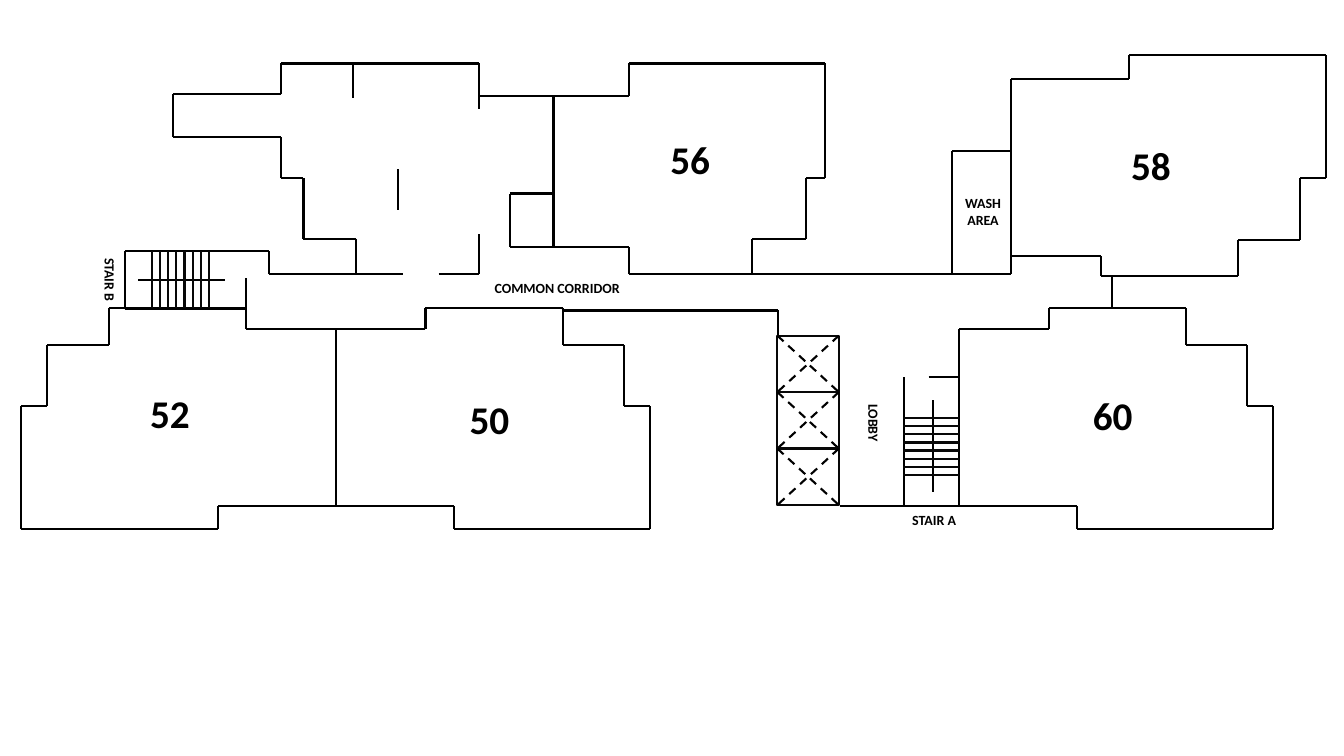
from lxml import etree
from pptx import Presentation
from pptx import util as u
from pptx.dml.color import RGBColor
from pptx.enum import dml, shapes, text

COLORS = {"wall": "000000", "tread": "080808", "label": "000000"}
GRID = 2.54  # centimetres per plan unit
A_NS = "http://schemas.openxmlformats.org/drawingml/2006/main"

prs = Presentation()
prs.slide_width, prs.slide_height = u.Cm(13.33 * GRID), u.Cm(7.5 * GRID)
s = prs.slides.add_slide(prs.slide_layouts[6])
plan = s.shapes.add_group_shape().shapes


def draw_wall(points, color="wall", dashed=False):
    """Draw straight wall pieces through the points."""
    for start, end in zip(points, points[1:]):
        if start == end:
            continue
        ln = plan.add_connector(shapes.MSO_CONNECTOR.STRAIGHT,
                                *[u.Cm(v * GRID) for v in (*start, *end)])
        ln.line.color.rgb = RGBColor.from_string(COLORS[color])
        ln.line.width = u.Pt(1.5)
        if dashed:
            ln.line.dash_style = dml.MSO_LINE.DASH
        etree.SubElement(ln._element.spPr, f"{{{A_NS}}}effectLst")


def add_label(target, words, left, top, width, height, size, rotation=0):
    """Add a bold centred label."""
    sp = target.add_textbox(*[u.Cm(v * GRID) for v in (left, top, width, height)])
    sp.rotation = rotation
    tf = sp.text_frame
    tf.text = words
    tf.word_wrap = False
    tf.auto_size = text.MSO_AUTO_SIZE.SHAPE_TO_FIT_TEXT
    fmt = {"name": "Calibri", "size": u.Pt(size), "bold": True}
    for p in tf.paragraphs:
        p.alignment = text.PP_ALIGN.CENTER
        for r in p.runs:
            for key, value in fmt.items():
                setattr(r.font, key, value)
            r.font.color.rgb = RGBColor.from_string(COLORS["label"])


# Every route is x, y, x, y, ...: each next value is a turn across, then up or down
LARGE_FLAT = [0, 1.76, 1.17, 1.99, 3.12, 0.77, 2.86, 0.16, 2.25, -0.2, 0.89, 0, 0, 1.76]
SMALL_FLAT = [0, 1.5, 0.75, 1.82, 2.69, 0.68, 2.5, 0.08, 1.97, -0.27, 0.75, 0, 0, 1.5]

# Flats: number, outline, inner corner, flips, label position
routes = []
for number, outline, x, y, flip_x, flip_y, label_x, label_y in [
        ("56", SMALL_FLAT, 5.49, 2.45, 1, -1, 6.5, 1.29),
        ("58", LARGE_FLAT, 10.03, 2.54, 1, -1, 11.07, 1.35),
        ("60", LARGE_FLAT, 9.51, 3.26, 1, 1, 10.69, 3.83),
        ("50", LARGE_FLAT, 3.33, 3.26, 1, 1, 4.51, 3.87),
        ("52", LARGE_FLAT, 3.33, 3.26, -1, 1, 1.34, 3.81)]:
    routes.append([y + flip_y * v if i % 2 else x + flip_x * v
                   for i, v in enumerate(outline)])
    add_label(plan, number, label_x, label_y, 0.69, 0.57, 28)

# Open area, corridor, wash area, lobby and stairs
routes += [
    [4.75, 1.08, 4.75, 0.63, 2.79, 0.93, 1.72, 1.36, 2.79, 1.77, 3.01, 2.37,
     3.53, 2.72, 4],
    [4.35, 2.72, 4.75, 2.32],
    [4.75, 0.95, 5.49],
    [3.5, 0.63, 3.5, 0.97],
    [3.95, 1.68, 3.95, 2.08],
    [5.49, 1.92, 5.06, 2.45, 5.49],
    [5.57, 3.08, 7.72, 3.33],
    [7.46, 2.72, 10.03, 2.53],
    [11.03, 2.74, 11.03, 3.07],
    [3.53, 2.72, 2.67, 2.49, 2.44],
    [10.03, 1.5, 9.44, 2.73],
    [8.33, 5.02, 8.97],
    [9.21, 3.74, 9.51, 5.02, 8.97, 3.74],
    [9.25, 3.97, 9.25, 4.88],
    [2.44, 2.76, 2.44, 3.07, 1.24, 2.49, 2.44],
    [1.37, 2.78, 2.23],
]
for route in routes:
    draw_wall([(b, a) if i % 2 else (a, b)
               for i, (a, b) in enumerate(zip(route, route[1:]))])

# Stair treads
for i in range(8):
    x, y = 1.51 + 0.08 * i, 4.15 + 0.08 * i
    draw_wall([(x, 2.49), (x, 3.06)], "tread")
    draw_wall([(8.96, y), (9.51, y)], "tread")

# Lift shafts
left, right, shaft_height = 7.71, 8.32, 0.56
for i in range(3):
    top = 3.33 + i * shaft_height
    bottom = top + shaft_height
    sp = plan.add_shape(shapes.MSO_SHAPE.RECTANGLE, *[
        u.Cm(v * GRID) for v in (left, top, right - left, shaft_height)])
    sp.shadow.inherit = False
    sp.fill.background()
    sp.line.color.rgb = RGBColor.from_string(COLORS["tread"])
    sp.line.width = u.Pt(1.5)
    draw_wall([(left, top), (right, bottom)], dashed=True)
    draw_wall([(right, top), (left, bottom)], dashed=True)

# Names of the shared areas
for words, x, y, width, height, rotation in [
        ("WASH\nAREA", 9.46, 1.88, 0.58, 0.44, 0),
        ("COMMON CORRIDOR", 4.8, 2.72, 1.45, 0.27, 0),
        ("STAIR A", 8.88, 5.03, 0.77, 0.27, 0),
        ("STAIR B", 0.72, 2.64, 0.74, 0.27, 90),
        ("LOBBY", 8.35, 4.06, 0.63, 0.27, 90)]:
    add_label(s.shapes, words, x, y, width, height, 10, rotation)

prs.save("out.pptx")
